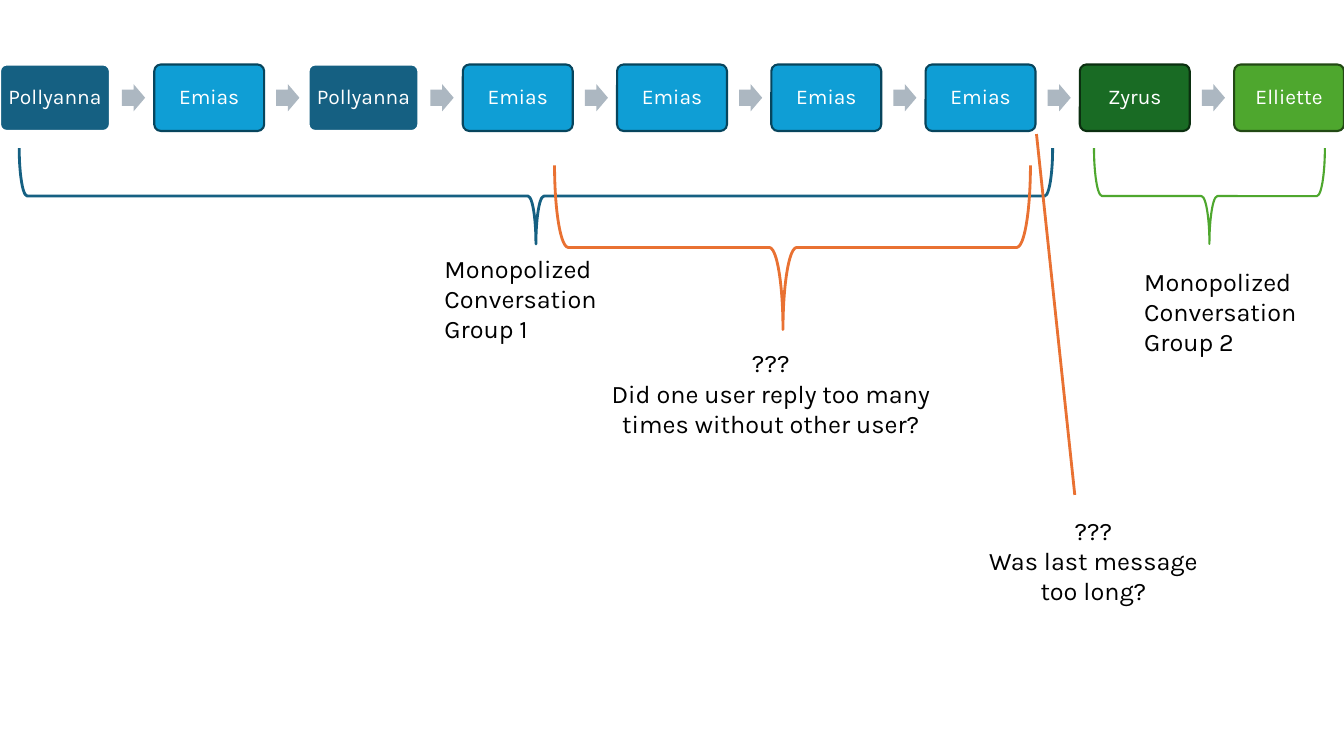
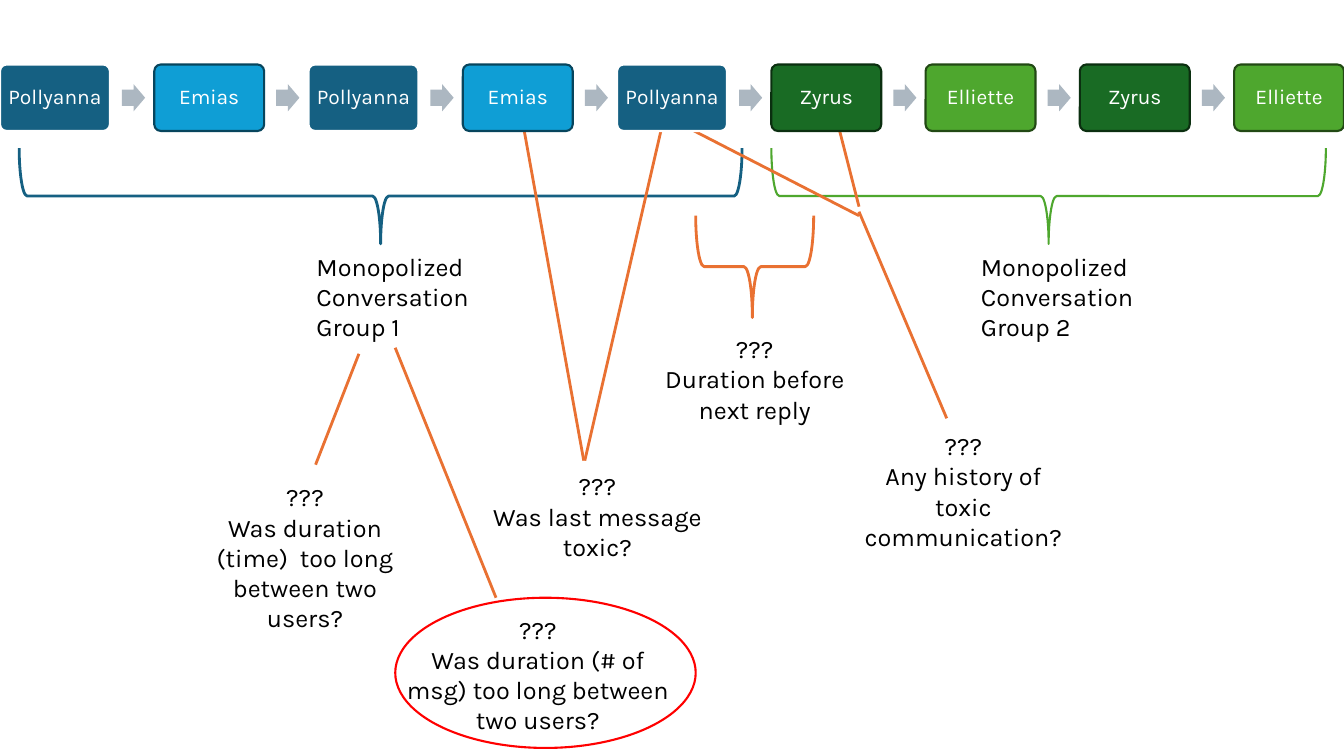
from lxml import etree
from pptx import Presentation
from pptx.dml.color import RGBColor
from pptx.enum import shapes, text
from pptx.oxml.ns import qn
from pptx.util import Pt

PX = 9144  # EMU per px, 100 px to the inch
SLIDE_W, SLIDE_H = 1333, 750
FONT = "Karla"
C = {
    "white": "FFFFFF", "black": "000000", "arrow": "ACB7C1",
    "navy": "156082", "sky": "0F9ED5", "sky_edge": "07455D",
    "forest": "196B24", "forest_edge": "0B2F10",
    "leaf": "4EA72E", "leaf_edge": "224914",
    "orange": "E97132", "red": "FF0000",
}
USERS = {  # name: fill, edge
    "Pollyanna": ("navy", "white"),
    "Emias": ("sky", "sky_edge"),
    "Zyrus": ("forest", "forest_edge"),
    "Elliette": ("leaf", "leaf_edge"),
}
GROUPS = [["Monopolized Conversation", "Group 1"],
          ["Monopolized Conversation", "Group 2"]]

# Message chain: top, box size, distance between boxes, arrow offset and size
TOP, BOX_W, BOX_H, PITCH = 64, 109, 66, 153
ARROW_DX, ARROW_W, ARROW_H = 121, 23, 27

# braces: left, top, width, height, colour, line pt, tip position
# labels: left, top, width, height, paragraphs
# questions: left, top, width, height, question
SLIDES = [
    {
        "chain": ["Pollyanna", "Emias", "Pollyanna", "Emias", "Emias",
                  "Emias", "Emias", "Zyrus", "Elliette"],
        "braces": [(19, 147, 1025, 95, "navy", 2, 0.5),
                   (1085, 147, 229, 95, "leaf", 1.5, 0.5),
                   (550, 164, 472, 163, "orange", 2, 0.52)],
        "labels": [(431, 246, 229, 101, GROUPS[0]),
                   (1125, 259, 229, 101, GROUPS[1])],
        "questions": [
            (587, 340, 355, 101, "Did one user reply too many times without other user?"),
            (970, 506, 229, 101, "Was last message too long?")],
        "lines": [(1028, 133, 1066, 491)],
        "ovals": [],
    },
    {
        "chain": ["Pollyanna", "Emias", "Pollyanna", "Emias", "Pollyanna",
                  "Zyrus", "Elliette", "Zyrus", "Elliette"],
        "braces": [(19, 147, 717, 95, "navy", 2, 0.5),
                   (765, 147, 550, 95, "leaf", 1.5, 0.5),
                   (690, 214, 117, 101, "orange", 2, 0.52)],
        "labels": [(304, 244, 229, 101, GROUPS[0]),
                   (963, 244, 229, 101, GROUPS[1])],
        "questions": [
            (634, 326, 229, 101, "Duration before next reply"),
            (478, 462, 229, 101, "Was last message toxic?"),
            (841, 422, 229, 131, "Any history of toxic communication?"),
            (188, 473, 229, 162, "Was duration (time)  too long between two users?"),
            (392, 604, 283, 131, "Was duration (# of msg) too long between two users?")],
        "lines": [(658, 119, 580, 457), (518, 119, 579, 457),
                  (675, 123, 852, 214), (830, 119, 852, 205),
                  (852, 210, 939, 415), (356, 351, 313, 461),
                  (392, 345, 492, 593)],
        "ovals": [(392, 593, 298, 149)],
    },
]


def rgb(name):
    return RGBColor.from_string(C[name])


def px(*values):
    return [round(v * PX) for v in values]


def set_line(line, colour, width):
    line.color.rgb = rgb(colour)
    line.width = Pt(width)


def add_shape(s, kind, box, fill=None, edge=None, width=1.5):
    sp = s.shapes.add_shape(kind, *px(*box))
    sp.shadow.inherit = False
    if fill:
        sp.fill.solid()
        sp.fill.fore_color.rgb = rgb(fill)
    else:
        sp.fill.background()
    if edge:
        set_line(sp.line, edge, width)
    else:
        sp.line.fill.background()
    return sp


def write(sp, paragraphs, size, colour, align):
    tf = sp.text_frame
    tf.word_wrap = True
    tf.text = "\n".join(paragraphs)
    for p in tf.paragraphs:
        p.alignment = align
        for r in p.runs:
            r.font.name = FONT
            r.font.size = Pt(size)
            r.font.color.rgb = rgb(colour)
    return tf


def add_text(s, box, paragraphs, align):
    write(s.shapes.add_textbox(*px(*box)), paragraphs, 18, "black", align)


def add_brace(s, left, top, width, height, colour, line_pt, tip):
    # A right brace turned to point down: its frame has the sides swapped
    x, y = left + (width - height) / 2, top + (height - width) / 2
    sp = add_shape(s, shapes.MSO_SHAPE.RIGHT_BRACE, (x, y, height, width),
                   edge=colour, width=line_pt)
    sp.rotation = 90
    sp.adjustments[1] = tip


def add_line(s, ends):
    ln = s.shapes.add_connector(shapes.MSO_CONNECTOR.STRAIGHT, *px(*ends))
    set_line(ln.line, "orange", 2)
    etree.SubElement(ln._element.spPr, qn("a:effectLst"))


def add_chain(s, names):
    for i, name in enumerate(names):
        left = i * PITCH
        fill, edge = USERS[name]
        sp = add_shape(s, shapes.MSO_SHAPE.ROUNDED_RECTANGLE,
                       (left, TOP, BOX_W, BOX_H), fill, edge)
        sp.adjustments[0] = 0.1
        tf = write(sp, [name], 15, "white", text.PP_ALIGN.CENTER)
        tf.vertical_anchor = text.MSO_ANCHOR.MIDDLE
        tf.margin_left = tf.margin_right = tf.margin_top = tf.margin_bottom = 6 * PX
        tf.paragraphs[0].line_spacing = 0.9
        if i < len(names) - 1:
            arrow = add_shape(s, shapes.MSO_SHAPE.RIGHT_ARROW,
                              (left + ARROW_DX, TOP + (BOX_H - ARROW_H) / 2,
                               ARROW_W, ARROW_H), "arrow")
            arrow.adjustments[0] = 0.6


def build(prs, content):
    s = prs.slides.add_slide(prs.slide_layouts[6])
    for brace in content["braces"]:
        add_brace(s, *brace)
    for ends in content["lines"]:
        add_line(s, ends)
    # The chain covers the upper ends of the lines
    add_chain(s, content["chain"])
    for *box, paragraphs in content["labels"]:
        add_text(s, box, paragraphs, text.PP_ALIGN.LEFT)
    for *box, question in content["questions"]:
        add_text(s, box, ["???", question], text.PP_ALIGN.CENTER)
    for box in content["ovals"]:
        add_shape(s, shapes.MSO_SHAPE.OVAL, box, edge="red")


def main():
    prs = Presentation()
    prs.slide_width, prs.slide_height = px(SLIDE_W, SLIDE_H)
    for content in SLIDES:
        build(prs, content)
    prs.save("out.pptx")


if __name__ == "__main__":
    main()
